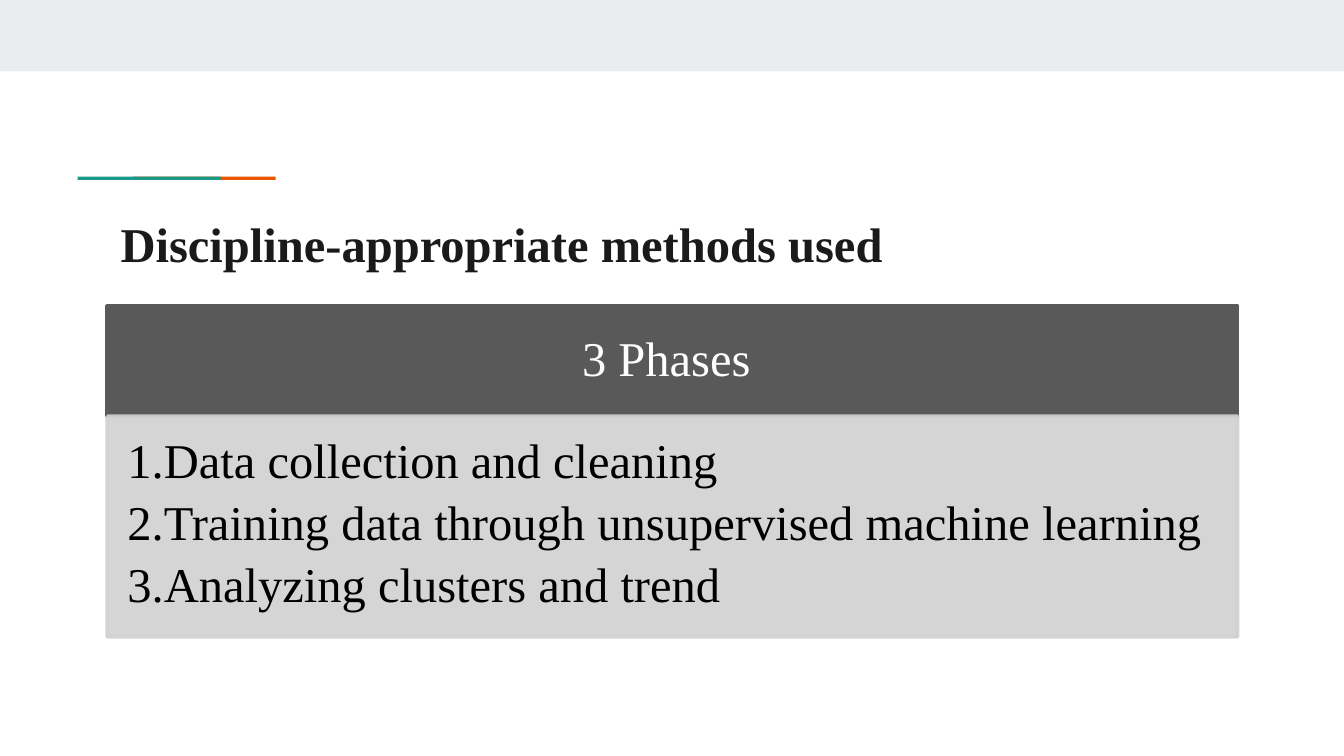
from lxml import etree
from pptx import Presentation
from pptx import util as u
from pptx.dml.color import RGBColor
from pptx.enum import shapes, text
from pptx.oxml.ns import qn

FONT = "Times New Roman"
PANEL_LEFT, PANEL_WIDTH = 2.03, 21.36
PHASES = [
    "Data collection and cleaning",
    "Training data through unsupervised machine learning",
    "Analyzing clusters and trend",
]


def rgb(value):
    return RGBColor.from_string(value)


def set_attributes(target, values):
    for name, value in values.items():
        setattr(target, name, value)


def add_box(slide, left, top, width, height, color, border=False):
    shape = slide.shapes.add_shape(
        shapes.MSO_SHAPE.RECTANGLE, *map(u.Cm, (left, top, width, height)))
    shape.shadow.inherit = False
    shape.fill.solid()
    shape.fill.fore_color.rgb = rgb(color)
    if border:
        shape.line.color.rgb = rgb(color)
        shape.line.width = u.Pt(2)
    else:
        shape.line.fill.background()
    return shape


def set_opacity(shape, percent):
    """Apply the same opacity to the fill and the border."""
    for color in shape._element.spPr.iter(qn("a:srgbClr")):
        etree.SubElement(color, qn("a:alpha"), val=str(percent * 1000))


def write(shape, lines, color, margins, frame_format, paragraph_format, bold=False):
    """Fill a shape with paragraphs; margins run left, top, right, bottom in cm."""
    frame = shape.text_frame
    sides = ("margin_left", "margin_top", "margin_right", "margin_bottom")
    set_attributes(frame, dict(zip(sides, map(u.Cm, margins))))
    set_attributes(frame, {"word_wrap": True, **frame_format})
    for index, line in enumerate(lines):
        paragraph = frame.add_paragraph() if index else frame.paragraphs[0]
        set_attributes(paragraph, paragraph_format)
        run = paragraph.add_run()
        run.text = line
        set_attributes(run.font, {"name": FONT, "size": u.Pt(26), "bold": bold})
        run.font.color.rgb = rgb(color)


def number_paragraphs(shape, indent):
    for paragraph in shape.text_frame.paragraphs:
        properties = paragraph._p.get_or_add_pPr()
        properties.set("marL", str(u.Cm(indent)))
        properties.set("indent", str(-u.Cm(indent)))
        bullet_color = etree.SubElement(properties, qn("a:buClr"))
        etree.SubElement(bullet_color, qn("a:srgbClr"), val="000000")
        etree.SubElement(properties, qn("a:buFont"), typeface=FONT)
        etree.SubElement(properties, qn("a:buAutoNum"), type="arabicPeriod")


def add_title(slide, title):
    box = slide.shapes.add_textbox(
        *map(u.Cm, (PANEL_LEFT, 3.66, PANEL_WIDTH, 1.5)))
    write(box, [title], "1A1A1A", (0.25, 0.38, 0.25, 0.25),
          {"vertical_anchor": text.MSO_ANCHOR.TOP},
          {"alignment": text.PP_ALIGN.LEFT}, bold=True)


def add_phase_panel(slide, heading, phases):
    header = add_box(slide, PANEL_LEFT, 5.79, PANEL_WIDTH, 2.08, "595959", border=True)
    write(header, [heading], "FFFFFF", (0.51, 0.3, 0.51, 0.3),
          {"vertical_anchor": text.MSO_ANCHOR.MIDDLE},
          {"alignment": text.PP_ALIGN.CENTER, "line_spacing": 0.9})

    body = add_box(slide, PANEL_LEFT, 7.87, PANEL_WIDTH, 4.17, "D1D1D1", border=True)
    set_opacity(body, 90)
    write(body, phases, "000000", (0.38, 0.38, 0.51, 0.58),
          {"vertical_anchor": text.MSO_ANCHOR.TOP},
          {"alignment": text.PP_ALIGN.LEFT, "line_spacing": 0.9,
           "space_after": u.Pt(5.2)})
    number_paragraphs(body, 0.64)


def main():
    presentation = Presentation()
    presentation.slide_width = u.Cm(25.4)
    presentation.slide_height = u.Cm(14.29)
    slide = presentation.slides.add_slide(presentation.slide_layouts[6])

    add_box(slide, 0, 0, 25.4, 1.35, "E9EDEE")
    for left, color in ((2.51, "EB5600"), (1.47, "1A9988")):
        add_box(slide, left, 3.34, 2.7, 0.06, color)
    add_title(slide, "Discipline-appropriate methods used")
    add_phase_panel(slide, "3 Phases ", PHASES)

    presentation.save("out.pptx")


if __name__ == "__main__":
    main()
